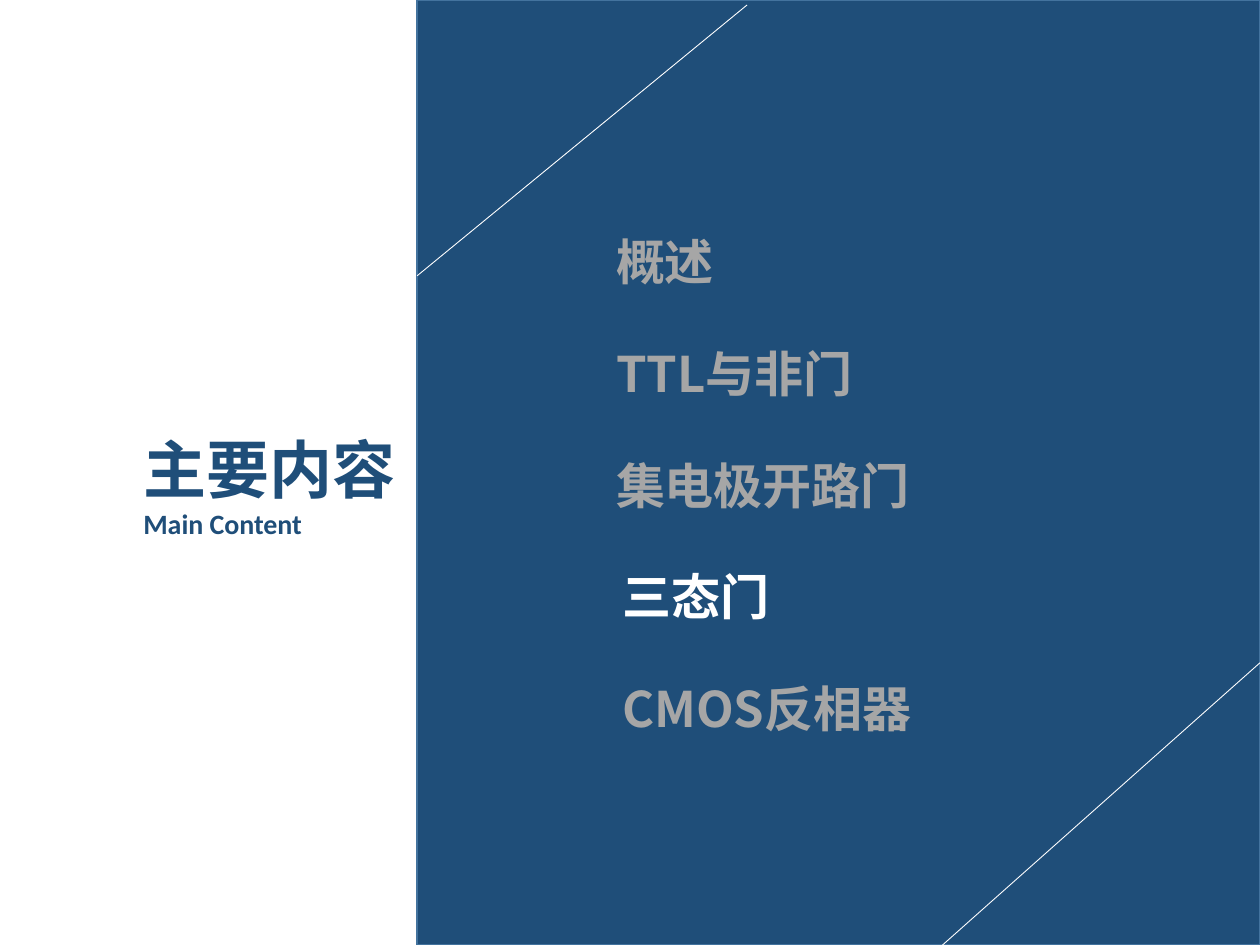
from typing import NamedTuple

from lxml.etree import SubElement
from pptx import Presentation
from pptx.dml.color import RGBColor
from pptx.enum.shapes import MSO_CONNECTOR, MSO_SHAPE
from pptx.enum.text import MSO_AUTO_SIZE
from pptx.oxml.ns import qn
from pptx.util import Cm, Pt

CJK_FONT = "Noto Sans CJK SC"
NAVY, EDGE, GREY, WHITE = "1F4E79", "43739E", "A6A6A6", "FFFFFF"
FIRST_TOP, PITCH = 4.55, 2.25


class Topic(NamedTuple):
    text: str
    left: float
    width: float
    color: str = GREY


class Line(NamedTuple):
    x1: float
    y1: float
    x2: float
    y2: float


TOPICS = [
    Topic("概述", 12.17, 7.44),
    Topic("TTL与非门", 12.17, 6.88),
    Topic("集电极开路门", 12.17, 8.31),
    Topic("三态门", 12.3, 8.31, WHITE),
    Topic("CMOS反相器", 12.3, 11.05),
]
DIAGONALS = [Line(15.06, 0.1, 8.41, 5.56), Line(25.4, 13.36, 19, 19.05)]


def rgb(value: str) -> RGBColor:
    return RGBColor.from_string(value)


def format_run(r, size: float, color: str, font: str = CJK_FONT) -> None:
    r.font.size = Pt(size)
    r.font.bold = True
    r.font.color.rgb = rgb(color)
    r.font.name = font
    SubElement(r.font._element, qn("a:ea")).set("typeface", font)


def add_text(s, text: str, left: float, top: float, width: float, height: float):
    """Add a wrapping text box and return its runs."""
    tf = s.shapes.add_textbox(Cm(left), Cm(top), Cm(width), Cm(height)).text_frame
    tf.word_wrap = True
    tf.auto_size = MSO_AUTO_SIZE.SHAPE_TO_FIT_TEXT
    p = tf.paragraphs[0]
    p.text = text
    return p.runs


def add_panel(s) -> None:
    sp = s.shapes.add_shape(MSO_SHAPE.RECTANGLE, Cm(8.41), 0, Cm(16.99), Cm(19.05))
    sp.shadow.inherit = False
    sp.fill.solid()
    sp.fill.fore_color.rgb = rgb(NAVY)
    sp.line.color.rgb = rgb(EDGE)
    sp.line.width = Pt(1)


def add_line(s, line: Line) -> None:
    c = s.shapes.add_connector(MSO_CONNECTOR.STRAIGHT, *map(Cm, line))
    c.line.color.rgb = rgb(WHITE)
    c.line.width = Pt(0.5)
    SubElement(c._element.spPr, qn("a:effectLst"))


def main() -> None:
    prs = Presentation()
    prs.slide_width, prs.slide_height = Cm(25.4), Cm(19.05)
    s = prs.slides.add_slide(prs.slide_layouts[6])

    title, subtitle = add_text(s, "主要内容\vMain Content", 2.64, 8.56, 5.77, 2.49)
    format_run(title, 36, NAVY)
    format_run(subtitle, 16, NAVY, "Calibri")

    add_panel(s)
    for line in DIAGONALS:
        add_line(s, line)
    for i, topic in enumerate(TOPICS):
        top = FIRST_TOP + i * PITCH
        for r in add_text(s, topic.text, topic.left, top, topic.width, 1.45):
            format_run(r, 28, topic.color)

    prs.save("out.pptx")


if __name__ == "__main__":
    main()
